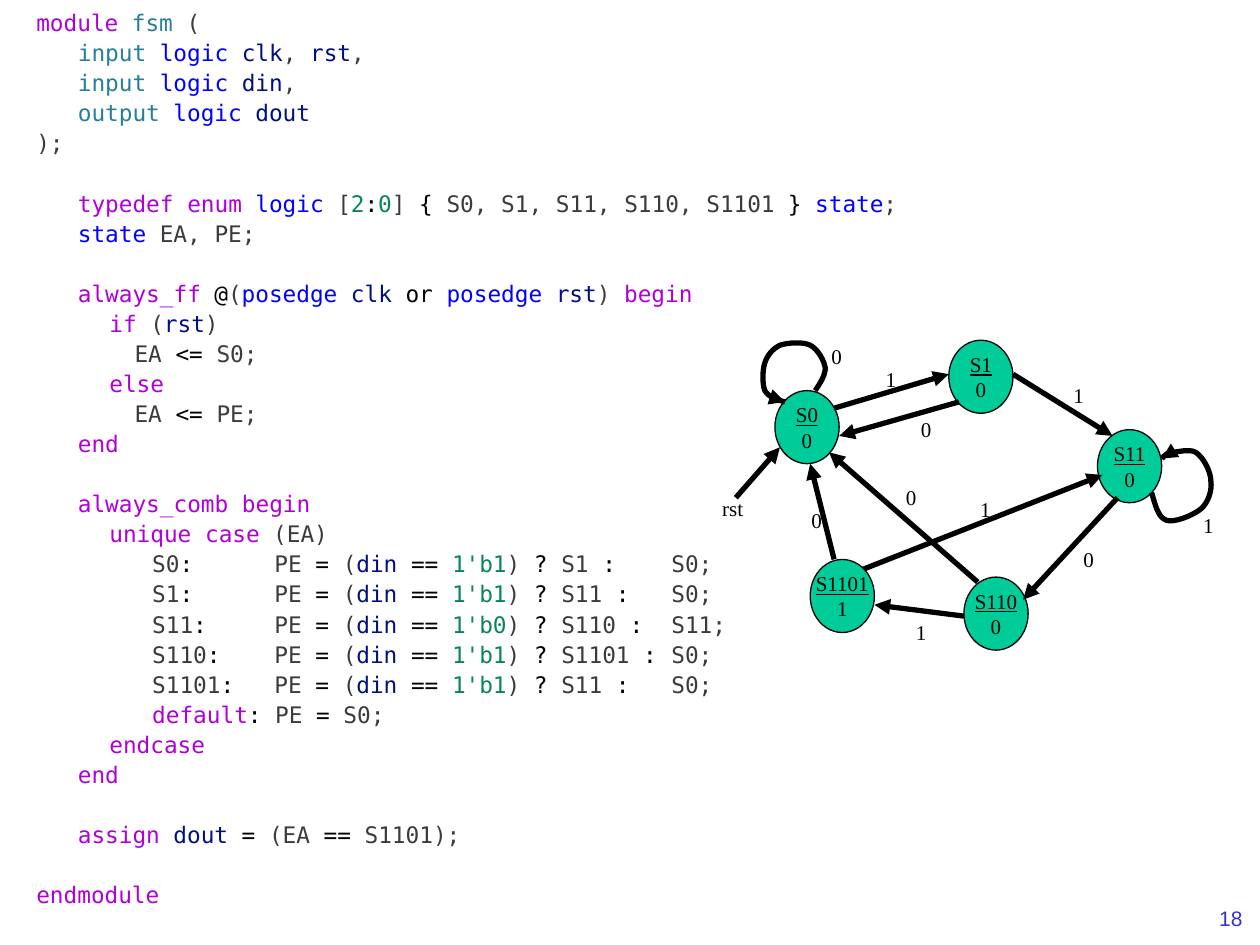
import itertools

import pptx
import pptx.dml.color
import pptx.enum.shapes
import pptx.enum.text
import pptx.oxml.ns
import pptx.util
from lxml import etree

PP = pptx.enum.text.PP_ALIGN
ANCHOR = pptx.enum.text.MSO_ANCHOR
Pt = pptx.util.Pt
SERIF = "Times New Roman"

# Case items: state, tested bit, next state, otherwise
CASES = [("S0", 1, "S1", "S0"), ("S1", 1, "S11", "S0"), ("S11", 0, "S110", "S11"),
         ("S110", 1, "S1101", "S0"), ("S1101", 1, "S11", "S0")]

# Code blocks, separated by one empty line's height
BLOCKS = [
    ["module fsm (", "\tinput logic clk, rst,", "\tinput logic din,",
     "\toutput logic dout", ");"],
    ["\ttypedef enum logic [2:0] { S0, S1, S11, S110, S1101 } state;",
     "\tstate EA, PE;"],
    ["\talways_ff @(posedge clk or posedge rst) begin", "\t\tif (rst)",
     "\t\t\tEA <= S0;", "\t\telse", "\t\t\tEA <= PE;", "\tend"],
    ["\talways_comb begin", "\t\tunique case (EA)",
     *[f"\t\t\t{s}:\tPE = (din == 1'b{bit}) ? {yes} :\t{no};"
       for s, bit, yes, no in CASES],
     "\t\t\tdefault: PE = S0;", "\t\tendcase", "\tend"],
    ["\tassign dout = (EA == S1101);"],
    ["endmodule"],
]
TABS = [0.33, 0.58, 0.78, 0.97]
CASE_TABS = [0.33, 0.58, 0.92, 1.89, 5.04]

# Syntax colours
PLAIN, NUMBER = "3B3B3B", "098658"
PALETTE = {
    "AF00DB": "module typedef enum always_ff always_comb begin if else end unique "
              "case default endcase assign endmodule",
    "267F99": "fsm input output",
    "0000FF": "logic state posedge",
    "001080": "clk rst din dout",
    "000000": "or @ : { } < = ?",
}
SYNTAX = {word: c for c, words in PALETTE.items() for word in words.split()}

# State diagram, in inches: name, output, left, top
STATES = [("S0", "0", 6.15, 3.1), ("S1", "0", 7.53, 2.7), ("S11", "0", 8.71, 3.41),
          ("S110", "0", 7.65, 4.58), ("S1101", "1", 6.43, 4.44)]
STATE_SIZE = (0.51, 0.58)

# Arrows: from, to
ARROWS = [
    ((6.62, 3.24), (7.53, 2.97)), ((8.04, 2.97), (8.83, 3.46)),
    ((8.87, 3.95), (8.12, 4.76)), ((7.65, 4.89), (6.94, 4.8)),
    ((6.62, 4.44), (6.43, 3.68)), ((6.82, 4.53), (8.75, 3.77)),
    ((7.76, 4.62), (6.58, 3.59)), ((7.61, 3.19), (6.66, 3.46)),
    ((9.3, 3.59), (9.22, 3.64)), ((6.11, 3.15), (6.23, 3.19)),
    ((5.84, 3.95), (6.19, 3.55)),
]

# Arrow labels: text, left, top
LABELS = [("1", 6.93, 2.86), ("1", 8.42, 2.99), ("0", 8.5, 4.29), ("1", 7.17, 4.87),
          ("0", 6.34, 3.98), ("1", 7.68, 3.89), ("0", 7.09, 3.8), ("0", 7.21, 3.26),
          ("1", 9.45, 4.02), ("0", 6.5, 2.68)]

# Self loops: start point, then three Bezier points per segment
LOOPS = [
    [(9.14, 3.91), (9.17, 4.01), (9.19, 4.11), (9.26, 4.13), (9.32, 4.15),
     (9.47, 4.09), (9.53, 4.04), (9.59, 3.99), (9.62, 3.89), (9.61, 3.82),
     (9.61, 3.74), (9.55, 3.63), (9.49, 3.59), (9.44, 3.56), (9.34, 3.59),
     (9.3, 3.59), (9.25, 3.6), (9.24, 3.62), (9.22, 3.64)],
    [(6.47, 3.1), (6.51, 3.04), (6.55, 2.98), (6.55, 2.92), (6.54, 2.86),
     (6.49, 2.77), (6.43, 2.74), (6.37, 2.71), (6.25, 2.72), (6.19, 2.74),
     (6.13, 2.77), (6.09, 2.82), (6.07, 2.88), (6.05, 2.94), (6.05, 3.05),
     (6.07, 3.1), (6.1, 3.15), (6.16, 3.17), (6.23, 3.19)],
]


def emu(*inches):
    return [pptx.util.Cm(2.54 * v) for v in inches]


def rgb(c):
    return pptx.dml.color.RGBColor.from_string(c)


def sub(parent, tag, **attrs):
    return etree.SubElement(parent, pptx.oxml.ns.qn(tag), attrs)


def set_font(font, name, size, c="000000"):
    font.name, font.size, font.color.rgb = name, Pt(size), rgb(c)


def add_text(slide, text, box, align=PP.LEFT, name=SERIF, c="000000", anchor=ANCHOR.TOP):
    tf = slide.shapes.add_textbox(*emu(*box)).text_frame
    tf.word_wrap, tf.vertical_anchor = False, anchor
    p = tf.paragraphs[0]
    p.text, p.alignment = text, align
    set_font(p.font, name, 12, c)


def highlight(line):
    """Split a code line into [colour, text] runs; white space joins the run before."""
    runs = []
    for _, group in itertools.groupby(
            line, lambda ch: "word" if ch.isalnum() or ch in "_'" else ch):
        token = "".join(group)
        if token[0].isdigit():
            c = NUMBER
        else:
            c = SYNTAX.get(token[0] if token[0] in "=<" else token, PLAIN)
        if runs and (token.isspace() or runs[-1][0] == c):
            runs[-1][1] += token
        else:
            runs.append([c, token])
    return runs


def add_code(slide):
    tf = slide.shapes.add_textbox(*emu(0.19, 0, 7.1, 7.3)).text_frame
    tf.word_wrap = True
    for b, block in enumerate(BLOCKS):
        for i, line in enumerate(block):
            p = tf.paragraphs[0] if b == i == 0 else tf.add_paragraph()
            tabs = sub(p._p.get_or_add_pPr(), "a:tabLst")
            is_case = line.startswith("\t\t\t") and ":" in line
            for pos in emu(*(CASE_TABS if is_case else TABS)):
                sub(tabs, "a:tab", pos=str(int(pos)), algn="l")
            p.line_spacing = 1.1
            if b and i == 0:
                p.space_before = Pt(17.2)
            p.font.name, p.font.size = "DejaVu Sans Mono", Pt(13)
            for c, text in highlight(line):
                r = p.add_run()
                r.text, r.font.color.rgb = text, rgb(c)


def add_state(slide, name, output, x, y):
    sp = slide.shapes.add_shape(pptx.enum.shapes.MSO_SHAPE.OVAL,
                                *emu(x, y, *STATE_SIZE))
    sp.shadow.inherit = False
    sp.fill.solid()
    sp.fill.fore_color.rgb = rgb("00CC99")
    sp.line.color.rgb, sp.line.width = rgb("000000"), Pt(0.75)
    tf = sp.text_frame
    tf.word_wrap, tf.vertical_anchor = False, ANCHOR.MIDDLE
    tf.text = f"{name}\n{output}"
    for p, underline in zip(tf.paragraphs, (True, False)):
        p.alignment = PP.CENTER
        set_font(p.font, SERIF, 12)
        p.font.underline = underline


def add_arrow(slide, start, end):
    cn = slide.shapes.add_connector(pptx.enum.shapes.MSO_CONNECTOR.STRAIGHT,
                                    *emu(*start, *end))
    cn.line.color.rgb, cn.line.width = rgb("000000"), Pt(3)
    sub(cn.line._get_or_add_ln(), "a:tailEnd", type="triangle")
    sub(cn._element.spPr, "a:effectLst")


def add_loop(slide, pts, steps=8):
    curve = []
    for i in range(0, len(pts) - 1, 3):
        for t in (k / steps for k in range(1, steps + 1)):
            weights = ((1 - t) ** 3, 3 * t * (1 - t) ** 2, 3 * t * t * (1 - t), t ** 3)
            curve.append(emu(*(sum(w * p[axis] for w, p in zip(weights, pts[i:i + 4]))
                               for axis in (0, 1))))
    builder = slide.shapes.build_freeform(*emu(*pts[0]))
    builder.add_line_segments(curve, close=False)
    sp = builder.convert_to_shape()
    sp.shadow.inherit = False
    sp.fill.background()
    sp.line.color.rgb, sp.line.width = rgb("000000"), Pt(3)


def main():
    prs = pptx.Presentation()
    prs.slide_width, prs.slide_height = emu(10, 7.5)
    s = prs.slides.add_slide(prs.slide_layouts[6])

    # Page number and code
    add_text(s, "18", (7.63, 7.14, 2.33, 0.5), PP.RIGHT, "Arial", "3333CC")
    add_code(s)

    # State diagram; the last state lies over its arrows
    for state in STATES[:-1]:
        add_state(s, *state)
    for loop in LOOPS:
        add_loop(s, loop)
    for start, end in ARROWS:
        add_arrow(s, start, end)
    for text, x, y in LABELS:
        add_text(s, text, (x, y, 0.29, 0.3))
    add_text(s, "rst", (5.54, 3.88, 0.55, 0.31), PP.CENTER, anchor=ANCHOR.MIDDLE)
    add_state(s, *STATES[-1])

    prs.save("out.pptx")


if __name__ == "__main__":
    main()
